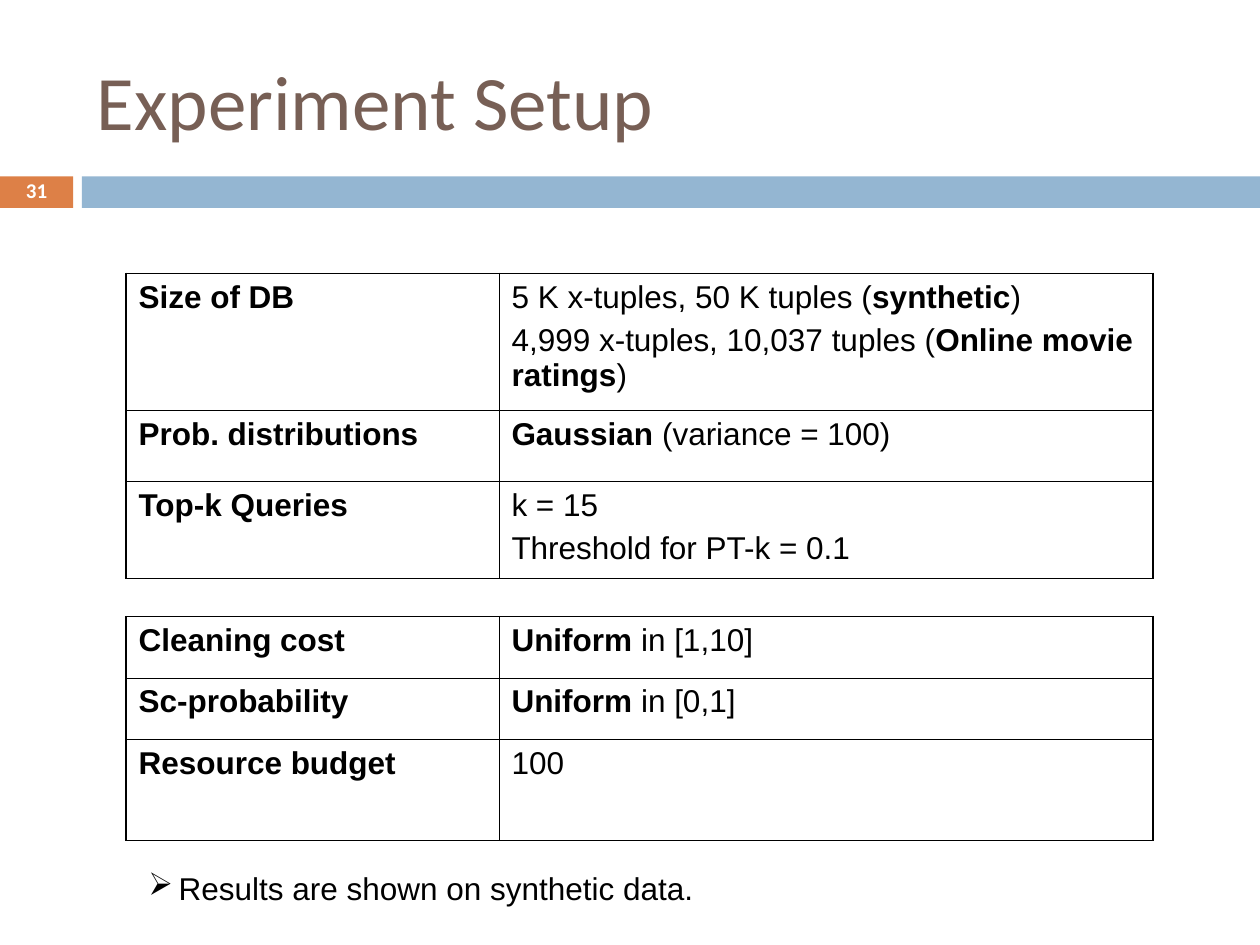
import pptx
import pptx.dml.color
import pptx.enum.shapes
import pptx.enum.text
import pptx.oxml.ns
import pptx.util
from dataclasses import dataclass
from lxml import etree

Inches = pptx.util.Inches
Pt = pptx.util.Pt

TITLE = "Experiment Setup"
SLIDE_NUMBER = "31"
NOTE = "Results are shown on synthetic data."
BULLET = "➢"

PLAIN, BOLD = False, True
TABLES = [
    {
        "top": 2.17,
        "heavy_edge": "T",
        "rows": [
            (1.09, "Size of DB", [
                [("5 K x-tuples, 50 K tuples (", PLAIN), ("synthetic", BOLD), (")", PLAIN)],
                [("4,999 x-tuples, 10,037 tuples (", PLAIN), ("Online movie ratings", BOLD), (")", PLAIN)],
            ]),
            (0.56, "Prob. distributions", [[("Gaussian ", BOLD), ("(variance = 100)", PLAIN)]]),
            (0.77, "Top-k Queries", [[("k = 15", PLAIN)], [("Threshold for PT-k = 0.1", PLAIN)]]),
        ],
    },
    {
        "top": 4.89,
        "heavy_edge": "B",
        "rows": [
            (0.49, "Cleaning cost", [[("Uniform", BOLD), (" in [1,10]", PLAIN)]]),
            (0.49, "Sc-probability", [[("Uniform", BOLD), (" in [0,1]", PLAIN)]]),
            (0.8, "Resource budget", [[("100", PLAIN)]]),
        ],
    },
]
TABLE_LEFT = 1
COLUMN_WIDTHS = (2.96, 5.19)
SLIDE_WIDTH, SLIDE_HEIGHT = 10, 7.5
BAND_TOP, BAND_HEIGHT = 1.4, 0.25
BADGE_WIDTH, BAND_LEFT = 0.58, 0.65
BULLET_INDENT = 0.24


@dataclass(frozen=True)
class Theme:
    title: str = "775F55"
    badge: str = "DD8047"
    band: str = "94B6D2"
    ink: str = "000000"
    white: str = "FFFFFF"
    heading_font: str = "Calibri"
    body_font: str = "Arial"
    title_size: float = 44
    body_size: float = 18
    badge_size: float = 12
    thin: float = 0.45
    heavy: float = 1.08


theme = Theme()


def rgb(color):
    return pptx.dml.color.RGBColor.from_string(color)


def set_font(paragraph, name, size, color, bold=None):
    font = paragraph.font
    font.name, font.size, font.bold = name, Pt(size), bold
    font.color.rgb = rgb(color)


def add_rectangle(slide, left, width, color):
    shape = slide.shapes.add_shape(
        pptx.enum.shapes.MSO_SHAPE.RECTANGLE,
        Inches(left), Inches(BAND_TOP), Inches(width), Inches(BAND_HEIGHT))
    shape.shadow.inherit = False
    shape.fill.solid()
    shape.fill.fore_color.rgb = rgb(color)
    shape.line.fill.background()
    return shape


def add_text(slide, text, left, top, width, height):
    shape = slide.shapes.add_textbox(Inches(left), Inches(top), Inches(width), Inches(height))
    shape.text_frame.word_wrap = True
    paragraph = shape.text_frame.paragraphs[0]
    paragraph.text = text
    return shape, paragraph


def set_border(cell, edge, width):
    properties = cell._tc.get_or_add_tcPr()
    line = etree.SubElement(properties, pptx.oxml.ns.qn(f"a:ln{edge}"), w=str(int(Pt(width))))
    fill = etree.SubElement(line, pptx.oxml.ns.qn("a:solidFill"))
    etree.SubElement(fill, pptx.oxml.ns.qn("a:srgbClr"), val=theme.ink)


def fill_cell(cell, paragraphs):
    frame = cell.text_frame
    for index, runs in enumerate(paragraphs):
        paragraph = frame.add_paragraph() if index else frame.paragraphs[0]
        paragraph.space_before = Pt(4.5)
        set_font(paragraph, theme.body_font, theme.body_size, theme.ink)
        for text, bold in runs:
            run = paragraph.add_run()
            run.text, run.font.bold = text, bold


def add_table(slide, top, heavy_edge, rows):
    height = sum(row[0] for row in rows)
    table = slide.shapes.add_table(
        len(rows), len(COLUMN_WIDTHS), Inches(TABLE_LEFT), Inches(top),
        Inches(sum(COLUMN_WIDTHS)), Inches(height)).table
    table.first_row = table.horz_banding = False
    for column, width in zip(table.columns, COLUMN_WIDTHS):
        column.width = Inches(width)
    for row_index, (row_height, label, values) in enumerate(rows):
        table.rows[row_index].height = Inches(row_height)
        for column_index, paragraphs in enumerate(([[(label, BOLD)]], values)):
            cell = table.cell(row_index, column_index)
            fill_cell(cell, paragraphs)
            heavy = {
                "L": column_index == 0,
                "R": column_index == len(COLUMN_WIDTHS) - 1,
                "T": heavy_edge == "T" and row_index == 0,
                "B": heavy_edge == "B" and row_index == len(rows) - 1,
            }
            for edge, is_heavy in heavy.items():
                set_border(cell, edge, theme.heavy if is_heavy else theme.thin)
            cell.fill.background()


def add_bullet(paragraph):
    properties = paragraph._p.get_or_add_pPr()
    properties.set("marL", str(Inches(BULLET_INDENT)))
    properties.set("indent", str(-Inches(BULLET_INDENT)))
    bullet = etree.Element(pptx.oxml.ns.qn("a:buChar"), char=BULLET)
    properties.find(pptx.oxml.ns.qn("a:defRPr")).addprevious(bullet)


def main():
    presentation = pptx.Presentation()
    presentation.slide_width = Inches(SLIDE_WIDTH)
    presentation.slide_height = Inches(SLIDE_HEIGHT)
    slide = presentation.slides.add_slide(presentation.slide_layouts[6])

    badge = add_rectangle(slide, 0, BADGE_WIDTH, theme.badge)
    badge.text_frame.text = SLIDE_NUMBER
    badge.text_frame.vertical_anchor = pptx.enum.text.MSO_ANCHOR.MIDDLE
    number = badge.text_frame.paragraphs[0]
    number.alignment = pptx.enum.text.PP_ALIGN.CENTER
    number.line_spacing = 0.8
    set_font(number, theme.heading_font, theme.badge_size, theme.white, True)
    add_rectangle(slide, BAND_LEFT, SLIDE_WIDTH - BAND_LEFT, theme.band)

    title, paragraph = add_text(slide, TITLE, 0.67, 0.25, 8.92, 1.08)
    title.text_frame.vertical_anchor = pptx.enum.text.MSO_ANCHOR.MIDDLE
    set_font(paragraph, theme.heading_font, theme.title_size, theme.title)

    for table in TABLES:
        add_table(slide, **table)

    note, paragraph = add_text(slide, NOTE, 1.08, 6.85, 7.5, 0.4)
    paragraph.space_before = Pt(11.2)
    set_font(paragraph, theme.body_font, theme.body_size, theme.ink)
    add_bullet(paragraph)

    presentation.save("out.pptx")


if __name__ == "__main__":
    main()
